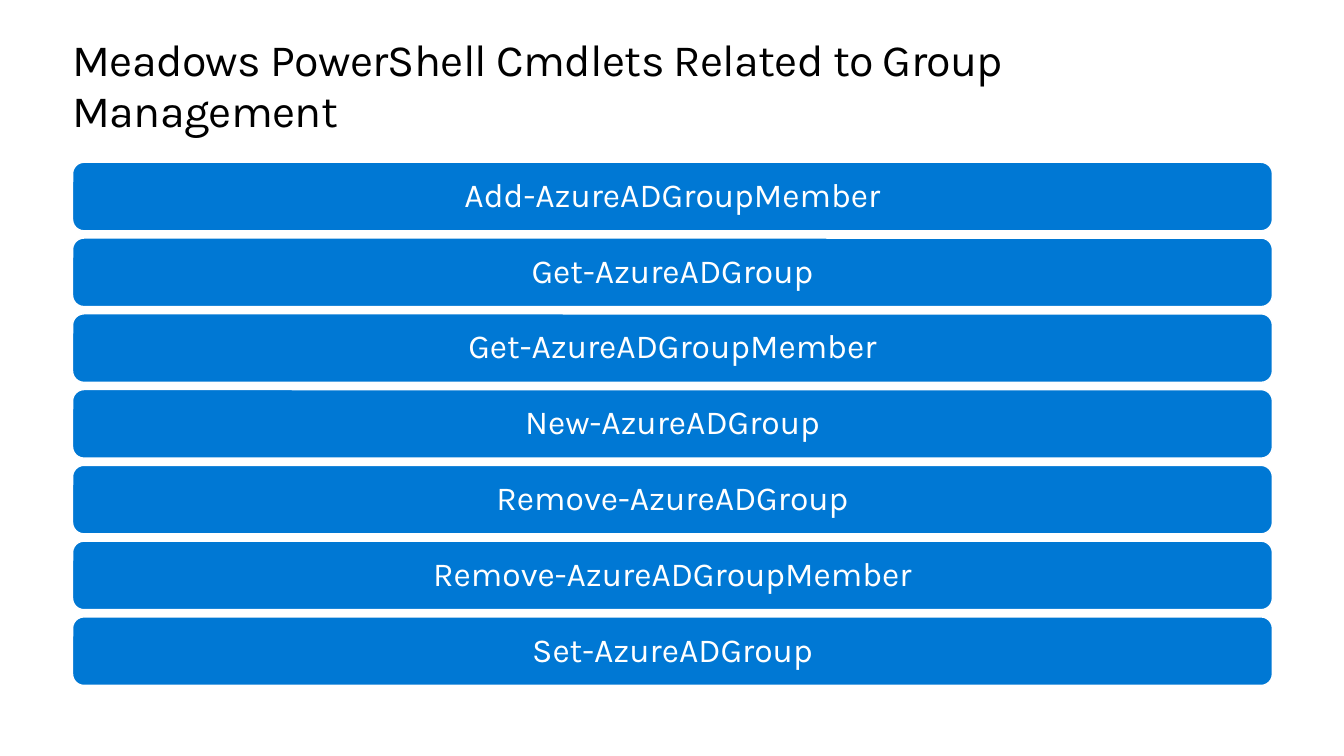
from pptx import Presentation
from pptx.dml.color import RGBColor
from pptx.enum.shapes import MSO_SHAPE
from pptx.enum.text import MSO_ANCHOR, MSO_AUTO_SIZE, PP_ALIGN
from pptx.util import Inches, Pt

ROUND = MSO_SHAPE.ROUNDED_RECTANGLE
MIDDLE = MSO_ANCHOR.MIDDLE
GROW = MSO_AUTO_SIZE.SHAPE_TO_FIT_TEXT
CENTER = PP_ALIGN.CENTER

# Content
TITLE = "Meadows PowerShell Cmdlets Related to Group Management"
CMDLETS = [
    "Add-AzureADGroupMember",
    "Get-AzureADGroup",
    "Get-AzureADGroupMember",
    "New-AzureADGroup",
    "Remove-AzureADGroup",
    "Remove-AzureADGroupMember",
    "Set-AzureADGroup",
]
COLORS = {"bar": "0078D4", "white": "FFFFFF", "title": "000000"}
FONT = "Karla"

# Layout in inches
LEFT, WIDTH = 0.72, 11.9
FIRST, LAST, HEIGHT = 1.61, 6.12, 0.68
STEP = (LAST - FIRST) / (len(CMDLETS) - 1)


def color(name):
    return RGBColor.from_string(COLORS[name])


def style(para, size, name):
    para.font.name = FONT
    para.font.size = Pt(size)
    para.font.color.rgb = color(name)


def inset(frame, gap):
    frame.margin_left = frame.margin_right = Inches(gap)
    frame.margin_top = frame.margin_bottom = Inches(gap)


def add_title(slide):
    box = slide.shapes.add_textbox(
        Inches(LEFT), Inches(0.35), Inches(WIDTH), Inches(0.5))
    frame = box.text_frame
    frame.word_wrap = True
    frame.auto_size = GROW
    inset(frame, 0)
    para = frame.paragraphs[0]
    run = para.add_run()
    run.text = TITLE
    para.line_spacing = Pt(36.2)
    style(para, 32, "title")
    # Letter spacing in hundredths of a point
    run._r.get_or_add_rPr().set("spc", "-50")


def add_bar(slide, top, label):
    bar = slide.shapes.add_shape(
        ROUND, Inches(LEFT), Inches(top), Inches(WIDTH), Inches(HEIGHT))
    bar.shadow.inherit = False
    bar.fill.solid()
    bar.fill.fore_color.rgb = color("bar")
    bar.line.color.rgb = color("white")
    bar.line.width = Pt(1)
    frame = bar.text_frame
    frame.word_wrap = True
    frame.vertical_anchor = MIDDLE
    inset(frame, 0.1)
    para = frame.paragraphs[0]
    para.text = label
    para.alignment = CENTER
    para.line_spacing = 0.9
    style(para, 24, "white")


def main():
    deck = Presentation()
    deck.slide_width, deck.slide_height = Inches(13.33), Inches(7.5)
    slide = deck.slides.add_slide(deck.slide_layouts[6])
    # Bars, evenly stacked
    for row, label in enumerate(CMDLETS):
        add_bar(slide, FIRST + row * STEP, label)
    add_title(slide)
    deck.save("out.pptx")


if __name__ == "__main__":
    main()
